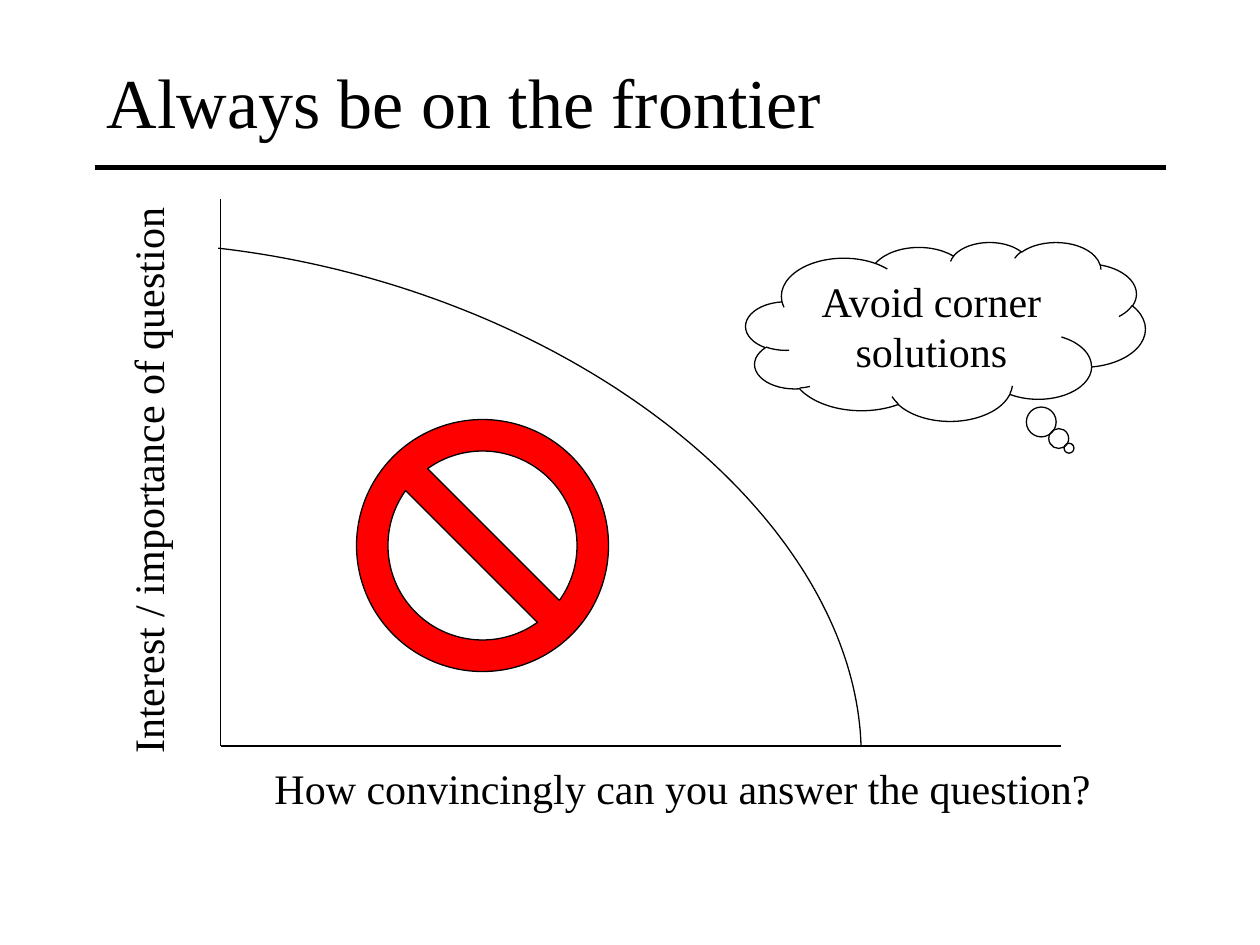
from math import cos, radians, sin

from lxml import etree
from pptx import Presentation, util as u
from pptx.dml.color import RGBColor
from pptx.enum import shapes, text
from pptx.oxml.ns import qn

WIDTH, HEIGHT = 10, 7.5
COLORS = {"ink": "000000", "ban": "FF0000"}
FONT = "Times New Roman"

# Boxes are left, top, width, height in inches
LABELS = [
    {"words": "Always be on the frontier", "box": (0.75, 0.17, 8.5, 1.25),
     "size": 40, "frame": {"vertical_anchor": text.MSO_ANCHOR.MIDDLE}},
    {"words": "Interest / importance of question", "box": (-1.62, 3.04, 5.58, 0.5),
     "size": 24, "rotation": 270, "paragraph": {"space_before": u.Pt(15)}},
    {"words": "How convincingly can you answer the question?", "box": (2.08, 6, 7.5, 0.5),
     "size": 24, "paragraph": {"space_before": u.Pt(15)}},
]
ORIGIN = (1.75, 5.92)
LINES = [
    ((0.75, 1.33), (9.25, 1.33), 3),     # title rule
    ((ORIGIN[0], 1.58), ORIGIN, 0.75),   # interest axis
    (ORIGIN, (8.42, ORIGIN[1]), 0.75),   # conviction axis
]
FRONTIER = {"center": (1.92, 5.3), "radii": (5, 3.25), "tilt": 14,
            "start": -101.4, "end": -10.4, "steps": 90}
ADVICE = {"words": "Avoid corner solutions", "box": (5.92, 1.92, 3.17, 1.42),
          "tail": (0.309, 0.653)}
BAN = {"box": (2.83, 3.33, 2, 2), "thickness": 0.125}


def inches(values):
    return [u.Inches(value) for value in values]


def color(name):
    return RGBColor.from_string(COLORS[name])


def apply(target, values):
    for name, value in values.items():
        setattr(target, name, value)


def write(shape, words, size, frame=None, paragraph=None):
    box = shape.text_frame
    apply(box, {"word_wrap": True, "vertical_anchor": text.MSO_ANCHOR.TOP, **(frame or {})})
    line = box.paragraphs[0]
    apply(line, {"alignment": text.PP_ALIGN.LEFT, **(paragraph or {})})
    run = line.add_run()
    run.text = words
    apply(run.font, {"name": FONT, "size": u.Pt(size)})
    run.font.color.rgb = color("ink")


def outline(shape, width=0.75):
    shape.line.color.rgb = color("ink")
    shape.line.width = u.Pt(width)


def make_hollow(figure):
    figure.shadow.inherit = False
    figure.fill.background()
    outline(figure)


def add_figure(slide, kind, box, adjustments):
    figure = slide.shapes.add_shape(kind, *inches(box))
    for index, value in enumerate(adjustments):
        figure.adjustments[index] = value
    make_hollow(figure)
    return figure


def frontier_points(center, radii, tilt, start, end, steps):
    """Points along an arc of a tilted ellipse, in EMU."""
    turn = radians(tilt)
    for step in range(steps + 1):
        angle = radians(start + (end - start) * step / steps)
        x, y = radii[0] * cos(angle), radii[1] * sin(angle)
        yield inches((center[0] + x * cos(turn) - y * sin(turn),
                      center[1] + x * sin(turn) + y * cos(turn)))


def main():
    deck = Presentation()
    deck.slide_width, deck.slide_height = inches((WIDTH, HEIGHT))
    slide = deck.slides.add_slide(deck.slide_layouts[6])

    for label in LABELS:
        box = slide.shapes.add_textbox(*inches(label["box"]))
        box.rotation = label.get("rotation", 0)
        write(box, label["words"], label["size"], label.get("frame"), label.get("paragraph"))

    for start, end, width in LINES:
        line = slide.shapes.add_connector(shapes.MSO_CONNECTOR.STRAIGHT, *inches(start + end))
        outline(line, width)
        etree.SubElement(line._element.spPr, qn("a:effectLst"))

    first, *rest = frontier_points(**FRONTIER)
    builder = slide.shapes.build_freeform(*first)
    builder.add_line_segments(rest, close=False)
    make_hollow(builder.convert_to_shape())

    cloud = add_figure(slide, shapes.MSO_SHAPE.CLOUD_CALLOUT, ADVICE["box"], ADVICE["tail"])
    write(cloud, ADVICE["words"], 24, paragraph={"alignment": text.PP_ALIGN.CENTER})

    ban = add_figure(slide, shapes.MSO_SHAPE.NO_SYMBOL, BAN["box"], [BAN["thickness"]])
    ban.fill.solid()
    ban.fill.fore_color.rgb = color("ban")

    deck.save("out.pptx")


if __name__ == "__main__":
    main()
